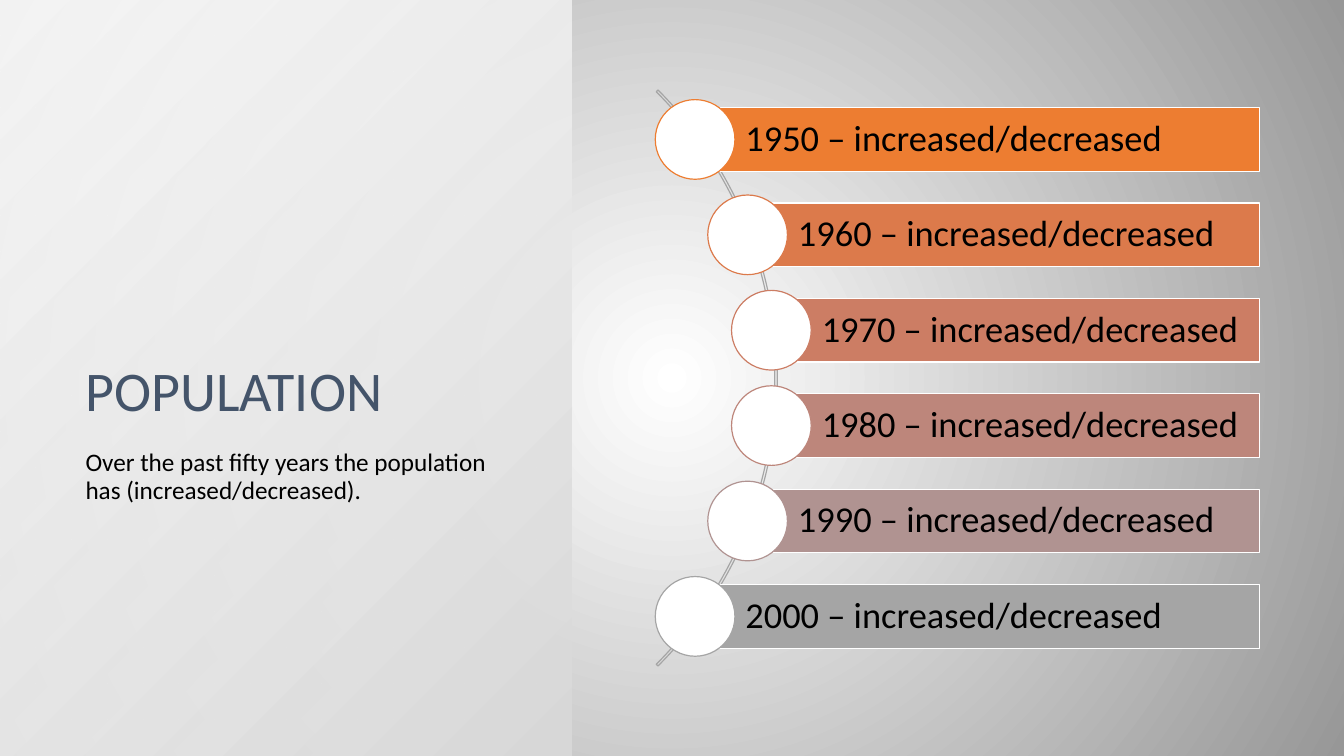
from lxml import etree
from pptx import Presentation
from pptx.dml.color import RGBColor
from pptx.enum.shapes import MSO_SHAPE
from pptx.enum.text import MSO_ANCHOR, PP_ALIGN
from pptx.oxml.ns import qn
from pptx.util import Pt

RECT, OVAL, ARC = MSO_SHAPE.RECTANGLE, MSO_SHAPE.OVAL, MSO_SHAPE.BLOCK_ARC
TOP, MIDDLE, BOTTOM = MSO_ANCHOR.TOP, MSO_ANCHOR.MIDDLE, MSO_ANCHOR.BOTTOM
LEFT = PP_ALIGN.LEFT

COLORS = {
    "white": "FFFFFF", "black": "000000", "navy": "44546A",
    "edge": "979797", "panel": "D9D9D9", "arc": "A5A5A5",
}
# year, centre of its circle from the left, colour
DECADES = [
    (1950, 496.5, "ED7D31"),
    (1960, 534, "DC7A4B"),
    (1970, 551, "CC7D64"),
    (1980, 551, "BD867B"),
    (1990, 534, "B09391"),
    (2000, 496.5, "A5A5A5"),
]
FIRST, PITCH = 99.6, 68.14
BAR_H, BAR_END, DOT = 45.4, 899.8, 56.9


def rgb(code):
    return RGBColor.from_string(code)


def add_shape(slide, kind, x, y, w, h, fill=None, line=None):
    shape = slide.shapes.add_shape(kind, Pt(x), Pt(y), Pt(w), Pt(h))
    shape.shadow.inherit = False
    if fill:
        shape.fill.solid()
        shape.fill.fore_color.rgb = rgb(fill)
    else:
        shape.fill.background()
    if line:
        shape.line.color.rgb = rgb(line)
        shape.line.width = Pt(0.85)
    else:
        shape.line.fill.background()
    return shape


def set_glow(owner, root, stops, focus):
    """Fill with a circular gradient; stops are (colour, opacity in percent)."""
    owner.fill.gradient()
    grad = next(root.iter(qn("a:gradFill")))
    grad.clear()
    stop_list = etree.SubElement(grad, qn("a:gsLst"))
    for i, (code, alpha) in enumerate(stops):
        stop = etree.SubElement(stop_list, qn("a:gs"), pos=str(i * 100000))
        color = etree.SubElement(stop, qn("a:srgbClr"), val=code)
        if alpha < 100:
            etree.SubElement(color, qn("a:alpha"), val=str(alpha * 1000))
    path = etree.SubElement(grad, qn("a:path"), path="circle")
    sides = {side: str(n * 1000) for side, n in zip("ltrb", focus)}
    etree.SubElement(path, qn("a:fillToRect"), **sides)


def set_text(shape, text, size, color="black", anchor=TOP,
             inset=(7.2, 3.6, 7.2, 3.6)):
    frame = shape.text_frame
    frame.word_wrap = True
    frame.vertical_anchor = anchor
    (frame.margin_left, frame.margin_top,
     frame.margin_right, frame.margin_bottom) = map(Pt, inset)
    para = frame.paragraphs[0]
    para.text = text
    para.alignment = LEFT
    para.line_spacing = 0.9
    para.font.name = "Calibri"
    para.font.size = Pt(size)
    para.font.color.rgb = rgb(COLORS[color])


def add_text(slide, x, y, w, h, text, **style):
    box = slide.shapes.add_textbox(Pt(x), Pt(y), Pt(w), Pt(h))
    set_text(box, text, **style)


def add_decade(slide, year, x, mid, color):
    bar = add_shape(slide, RECT, x, mid - BAR_H / 2, BAR_END - x, BAR_H,
                    color, COLORS["white"])
    set_text(bar, f"{year} – increased/decreased", size=26, anchor=MIDDLE,
             inset=(36, 5, 5, 5))
    add_shape(slide, OVAL, x - DOT / 2, mid - DOT / 2, DOT, DOT,
              COLORS["white"], color)


def main():
    prs = Presentation()
    prs.slide_width, prs.slide_height = Pt(960), Pt(540)
    slide = prs.slides.add_slide(prs.slide_layouts[6])
    set_glow(slide.background, slide.element,
             [(COLORS["white"], 100), (COLORS["edge"], 100)],
             (50, 50, 50, 50))

    panel = add_shape(slide, RECT, 0, 0, 408, 540)
    set_glow(panel, panel.element,
             [(COLORS["panel"], 100), (COLORS["white"], 89)],
             (100, 100, 0, 0))
    add_text(slide, 54, 54, 306, 252, "POPULATION",
             size=40, color="navy", anchor=BOTTOM)
    add_text(slide, 54, 318, 306, 168,
             "Over the past fifty years the population has "
             "(increased/decreased).", size=18)

    arc = add_shape(slide, ARC, -26.6, -20.9, 581.8, 581.8,
                    line=COLORS["arc"])
    for i, value in enumerate((189, 27, 0.003)):
        arc.adjustments[i] = value
    for i, (year, x, color) in enumerate(DECADES):
        add_decade(slide, year, x, FIRST + i * PITCH, color)
    prs.save("out.pptx")


if __name__ == "__main__":
    main()
